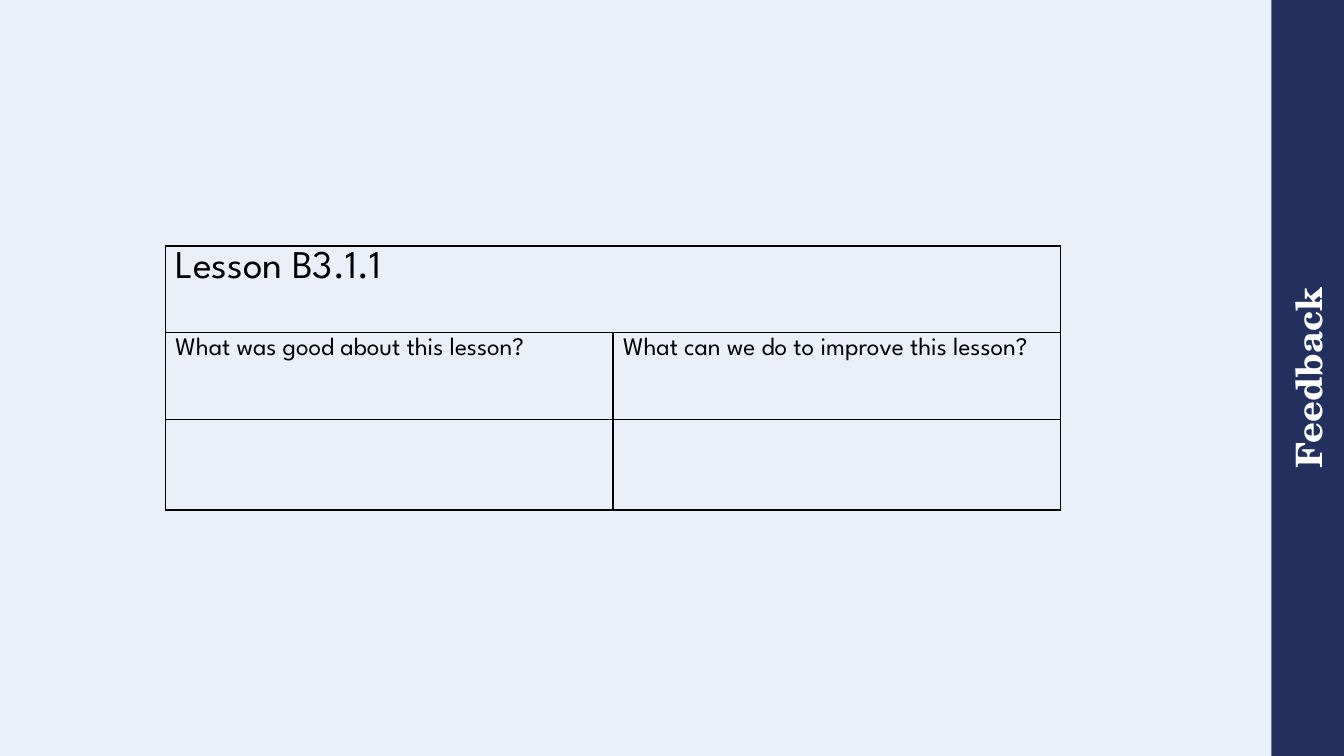
from dataclasses import dataclass

from lxml.etree import SubElement
from pptx import Presentation
from pptx.dml.color import RGBColor
from pptx.enum.shapes import MSO_SHAPE as Shape
from pptx.enum.text import MSO_ANCHOR as Anchor, MSO_AUTO_SIZE as AutoSize, PP_ALIGN as Align
from pptx.oxml.ns import qn
from pptx.util import Inches, Pt


@dataclass(frozen=True)
class Theme:
    paper: str = "FFFFFF"
    tint: str = "4472C4"
    tint_percent: int = 10
    navy: str = "232F5D"
    ink: str = "000000"
    light: str = "FFFFFF"
    title_font: str = "TeX Gyre Schola"
    body_font: str = "League Spartan"
    title_size: int = 26
    lesson_size: int = 28
    question_size: int = 18
    border_width: int = 1


THEME = Theme()
TITLE_ONLY = 5


def color(value):
    return RGBColor.from_string(value)


def paint(fill, value):
    fill.solid()
    fill.fore_color.rgb = color(value)


def add_span(para, text, size, ink=THEME.ink, font=THEME.body_font, bold=False):
    span = para.add_run()
    span.text = text
    span.font.name = font
    span.font.size = Pt(size)
    span.font.bold = bold
    span.font.color.rgb = color(ink)


def add_tint(page, width, height):
    """Cover the page with a mostly transparent colour."""
    tint = page.shapes.add_shape(Shape.RECTANGLE, 0, 0, width, height)
    tint.shadow.inherit = False
    tint.line.fill.background()
    paint(tint.fill, THEME.tint)
    swatch = tint.element.spPr.find(qn("a:solidFill"))[0]
    SubElement(swatch, qn("a:alpha"), val=str(THEME.tint_percent * 1000))


def set_side_title(page, text):
    """Turn the title into a vertical band on the right edge, above the tint."""
    title = page.shapes.title
    title.left, title.top = Inches(9.22), Inches(3.39)
    title.width, title.height = Inches(7.5), Inches(0.72)
    title.rotation = 270
    paint(title.fill, THEME.navy)
    frame = title.text_frame
    frame.auto_size = AutoSize.NONE
    frame.vertical_anchor = Anchor.MIDDLE
    frame.margin_left = frame.margin_right = frame.margin_top = frame.margin_bottom = 0
    para = frame.paragraphs[0]
    para.alignment = Align.CENTER
    add_span(para, text, THEME.title_size, THEME.light, THEME.title_font, bold=True)
    title.element.getparent().append(title.element)


def outline_cell(cell):
    properties = cell._tc.get_or_add_tcPr()
    for side in ("lnL", "lnR", "lnT", "lnB"):
        line = SubElement(properties, qn(f"a:{side}"), w=str(Pt(THEME.border_width)))
        fill = SubElement(line, qn("a:solidFill"))
        SubElement(fill, qn("a:srgbClr"), val=THEME.ink)
    cell.fill.background()


def add_feedback_table(page, lesson, questions):
    heights = (0.86, 0.86, 0.9)
    frame = page.shapes.add_table(len(heights), len(questions), Inches(1.64), Inches(2.44),
                                  Inches(8.88), Inches(sum(heights)))
    table = frame.table
    table.first_row = table.horz_banding = False
    for row, height in zip(table.rows, heights):
        row.height = Inches(height)
    for cell in table.iter_cells():
        outline_cell(cell)
    table.cell(0, 0).merge(table.cell(0, len(questions) - 1))
    add_span(table.cell(0, 0).text_frame.paragraphs[0], lesson, THEME.lesson_size)
    for column, question in enumerate(questions):
        para = table.cell(1, column).text_frame.paragraphs[0]
        add_span(para, question, THEME.question_size)


def main():
    deck = Presentation()
    deck.slide_width, deck.slide_height = Inches(13.33), Inches(7.5)
    page = deck.slides.add_slide(deck.slide_layouts[TITLE_ONLY])
    paint(page.background.fill, THEME.paper)
    add_tint(page, deck.slide_width, deck.slide_height)
    set_side_title(page, "Feedback")
    add_feedback_table(page, "Lesson B3.1.1", (
        "What was good about this lesson?",
        "What can we do to improve this lesson?",
    ))
    deck.save("out.pptx")


if __name__ == "__main__":
    main()
